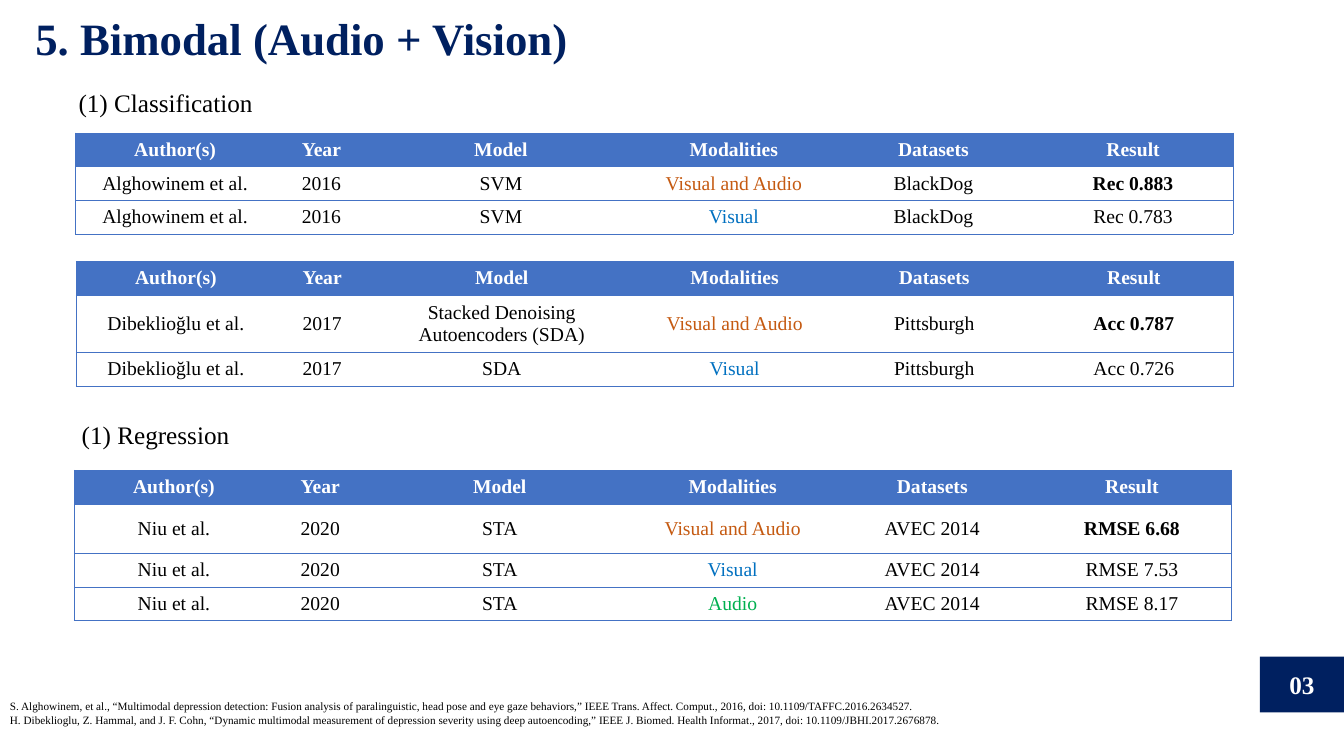
"""Build the bimodal (audio and vision) results slide."""
from dataclasses import dataclass

from lxml import etree
from pptx import Presentation
from pptx import util as u
from pptx.dml.color import RGBColor
from pptx.enum import shapes, text
from pptx.oxml.ns import qn

FONT = "Times New Roman"
COLORS = {"navy": "002060", "blue": "4472C4", "white": "FFFFFF", "black": "000000",
          "fusion": "C55A11", "visual": "0070C0", "audio": "00B050"}
MODALITY_COLORS = {"Visual and Audio": "fusion", "Visual": "visual", "Audio": "audio"}
MODALITY_COL, RESULT_COL = 3, 5
HEADER = ("Author(s)", "Year", "Model", "Modalities", "Datasets", "Result")
COL_WIDTHS = (5.03, 2.34, 6.71, 5.03, 5.03, 5.03)


@dataclass
class Label:
    left: float
    top: float
    width: float
    height: float
    lines: tuple[str, ...]
    size: float
    color: str = "black"
    bold: bool = False
    wrap: bool = True
    spacing: float = 1.0


@dataclass
class Results:
    left: float
    top: float
    heights: tuple[float, ...]
    rows: tuple[tuple[str, ...], ...]


LABELS = (
    Label(0.64, 0.3, 32.6, 1.15, ("5. Bimodal (Audio + Vision)",), 32, "navy", True, spacing=0.9),
    Label(1.73, 2.08, 4.95, 1.02, ("(1) Classification",), 18, wrap=False),
    Label(1.81, 10.45, 4.27, 1.02, ("(1) Regression",), 18, wrap=False),
    Label(0, 17.51, 24.71, 0.94, (
        "S. Alghowinem, et al., “Multimodal depression detection: Fusion analysis of paralinguistic, "
        "head pose and eye gaze behaviors,” IEEE Trans. Affect. Comput., 2016, "
        "doi: 10.1109/TAFFC.2016.2634527.",
        "H. Dibeklioglu, Z. Hammal, and J. F. Cohn, “Dynamic multimodal measurement of depression "
        "severity using deep autoencoding,” IEEE J. Biomed. Health Informat., 2017, "
        "doi: 10.1109/JBHI.2017.2676878."), 8),
)

TABLES = (
    Results(1.9, 3.35, (0.8, 0.8, 0.8), (
        ("Alghowinem et al.", "2016", "SVM", "Visual and Audio", "BlackDog", "Rec 0.883"),
        ("Alghowinem et al.", "2016", "SVM", "Visual", "BlackDog", "Rec 0.783"))),
    Results(1.92, 6.59, (0.8, 1.33, 0.8), (
        ("Dibeklioğlu et al.", "2017", "Stacked Denoising Autoencoders (SDA)",
         "Visual and Audio", "Pittsburgh", "Acc 0.787"),
        ("Dibeklioğlu et al.", "2017", "SDA", "Visual", "Pittsburgh", "Acc 0.726"))),
    Results(1.87, 11.85, (0.85, 1.24, 0.85, 0.85), (
        ("Niu et al.", "2020", "STA", "Visual and Audio", "AVEC 2014", "RMSE 6.68"),
        ("Niu et al.", "2020", "STA", "Visual", "AVEC 2014", "RMSE 7.53"),
        ("Niu et al.", "2020", "STA", "Audio", "AVEC 2014", "RMSE 8.17"))),
)


def rgb(name: str) -> RGBColor:
    return RGBColor.from_string(COLORS[name])


def add_run(p, words: str, size: float, color: str, bold: bool = False) -> None:
    r = p.add_run()
    r.text = words
    r.font.name = FONT
    r.font.size = u.Pt(size)
    r.font.bold = bold
    r.font.color.rgb = rgb(color)


def add_label(s, label: Label) -> None:
    sp = s.shapes.add_textbox(u.Cm(label.left), u.Cm(label.top),
                              u.Cm(label.width), u.Cm(label.height))
    tf = sp.text_frame
    tf.word_wrap = label.wrap
    for i, line in enumerate(label.lines):
        p = tf.add_paragraph() if i else tf.paragraphs[0]
        p.line_spacing = label.spacing
        add_run(p, line, label.size, label.color, label.bold)


def set_borders(cell, visible: dict[str, bool]) -> None:
    tc_pr = cell._tc.get_or_add_tcPr()
    for i, (side, shown) in enumerate(visible.items()):
        ln = etree.Element(qn(f"a:ln{side}"), w=str(u.Pt(0.5)))
        if shown:
            fill = etree.SubElement(ln, qn("a:solidFill"))
            etree.SubElement(fill, qn("a:srgbClr"), val=COLORS["blue"])
        else:
            etree.SubElement(ln, qn("a:noFill"))
        tc_pr.insert(i, ln)


def fill_cell(cell, words: str, row: int, col: int) -> None:
    color = "black" if row else "white"
    if row and col == MODALITY_COL:
        color = MODALITY_COLORS[words]
    cell.vertical_anchor = text.MSO_ANCHOR.MIDDLE
    p = cell.text_frame.paragraphs[0]
    p.alignment = text.PP_ALIGN.CENTER
    add_run(p, words, 14, color, row == 0 or (row == 1 and col == RESULT_COL))
    if row:
        cell.fill.background()
    else:
        cell.fill.solid()
        cell.fill.fore_color.rgb = rgb("blue")
    set_borders(cell, {"L": col == 0, "R": col == len(HEADER) - 1, "T": True, "B": True})


def add_results(s, results: Results) -> None:
    rows = (HEADER, *results.rows)
    table = s.shapes.add_table(len(rows), len(HEADER), u.Cm(results.left), u.Cm(results.top),
                               u.Cm(sum(COL_WIDTHS)), u.Cm(sum(results.heights))).table
    table.horz_banding = False
    for column, width in zip(table.columns, COL_WIDTHS):
        column.width = u.Cm(width)
    for i, (height, values) in enumerate(zip(results.heights, rows)):
        table.rows[i].height = u.Cm(height)
        for j, words in enumerate(values):
            fill_cell(table.cell(i, j), words, i, j)


def add_page_number(s, number: str) -> None:
    sp = s.shapes.add_shape(shapes.MSO_SHAPE.RECTANGLE,
                            u.Cm(31.75), u.Cm(16.55), u.Cm(2.12), u.Cm(1.4))
    sp.shadow.inherit = False
    sp.fill.solid()
    sp.fill.fore_color.rgb = rgb("navy")
    sp.line.fill.background()
    tf = sp.text_frame
    tf.vertical_anchor = text.MSO_ANCHOR.MIDDLE
    p = tf.paragraphs[0]
    p.alignment = text.PP_ALIGN.CENTER
    add_run(p, number, 18, "white", True)


def main() -> None:
    prs = Presentation()
    prs.slide_width, prs.slide_height = u.Cm(33.87), u.Cm(19.05)
    s = prs.slides.add_slide(prs.slide_layouts[6])
    for label in LABELS:
        add_label(s, label)
    for results in TABLES:
        add_results(s, results)
    add_page_number(s, "03")
    prs.save("out.pptx")


if __name__ == "__main__":
    main()
